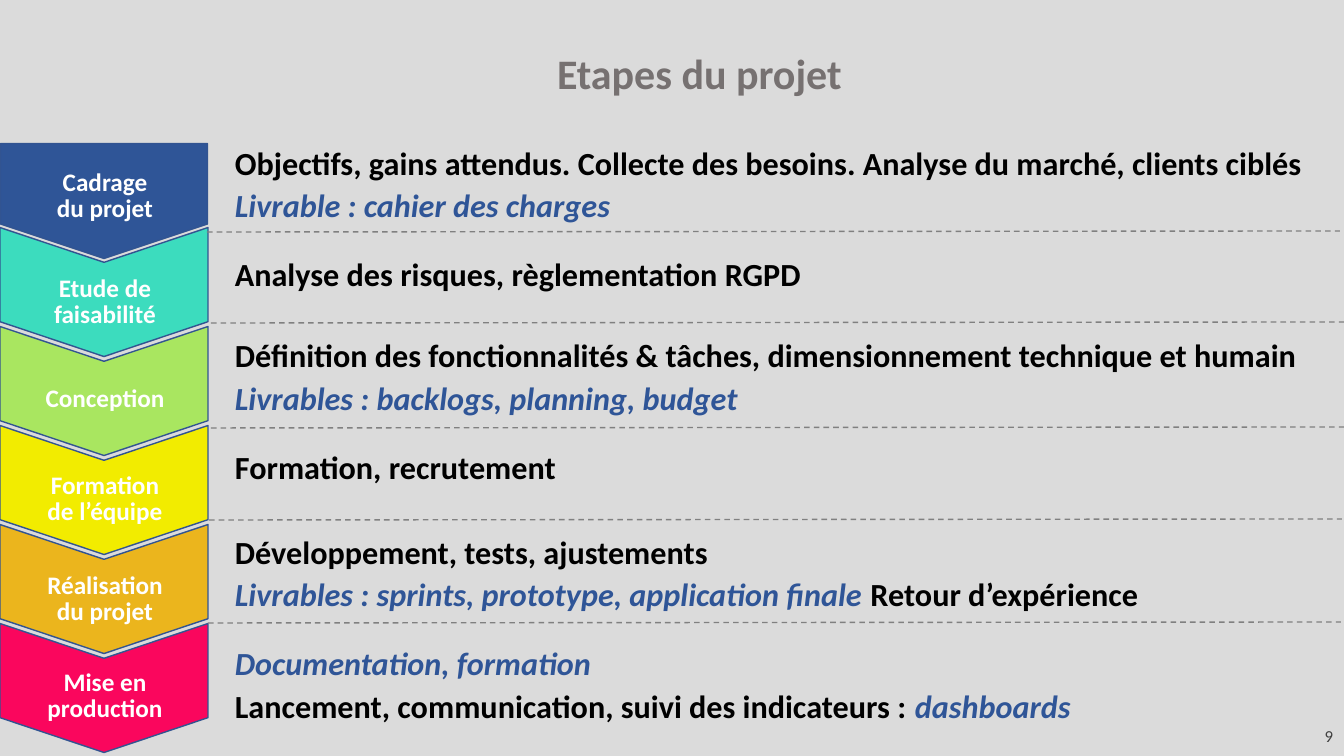
from dataclasses import dataclass
from lxml.etree import SubElement
from pptx import Presentation
from pptx.dml.color import RGBColor
from pptx.enum.dml import MSO_LINE
from pptx.enum.shapes import MSO_CONNECTOR, MSO_SHAPE
from pptx.enum.text import MSO_ANCHOR, MSO_AUTO_SIZE, PP_ALIGN
from pptx.oxml.ns import qn
from pptx.util import Pt

# Content: label, (top, width) of label, arrow colour
TITLE = "Etapes du projet"
PAGE = "9"
STEPS = [
    ("Cadrage du projet", (166, 130), "2F5597"),
    ("Etude de faisabilité", (272, 130), "3CDCBE"),
    ("Conception", (382, 148), "A9E660"),
    ("Formation de l’équipe", (469, 148), "F2EC00"),
    ("Réalisation du projet", (569, 148), "EBB51D"),
    ("Mise en production", (666, 148), "FA065D"),
]
# Top, height, paragraphs of (text, style) runs
DETAILS = [
    (134, 94, [[("Objectifs, gains attendus. Collecte des besoins. Analyse du marché, clients ciblés ", "task"),
                ("Livrable : cahier des charges", "output")]]),
    (246, 52, [[("Analyse des risques, règlementation RGPD", "task")]]),
    (327, 94, [[("Définition des fonctionnalités & tâches, dimensionnement technique et humain ", "task"),
                ("Livrables : backlogs, planning, budget", "output")]]),
    (439, 52, [[("Formation, recrutement", "task")]]),
    (523, 94, [[("Développement, tests, ajustements", "task")],
               [("Livrables : sprints, prototype, application finale ", "output"),
                ("Retour d’expérience", "task")]]),
    (635, 94, [[("Documentation, formation", "output")],
               [("Lancement, communication, suivi des indicateurs : ", "task"),
                ("dashboards", "output")]]),
]
SEPARATORS = [(207, 232), (211, 323), (211, 428), (209, 520), (208, 623)]


@dataclass(frozen=True)
class Theme:
    font: str = "Calibri"
    background: str = "DBDBDB"
    outline: str = "325491"
    separator: str = "808080"


THEME = Theme()
STYLES = {
    "title": dict(size=30, color="767171", bold=True, italic=False),
    "label": dict(size=18, color="FFFFFF", bold=True, italic=False),
    "task": dict(size=23, color="000000", bold=True, italic=False),
    "output": dict(size=23, color="2F5597", bold=True, italic=True),
    "page": dict(size=12, color="404040", bold=False, italic=False),
}

# Layout in px
PX = 914400 / 100.8
ARROW_X, ARROW_PITCH, FIRST_CHEVRON_Y = 104, 99, 292
LABEL_X = 105
DETAIL_X, DETAIL_W = 225, 1115
SEPARATOR_W = 1133


def px(*values):
    return [round(v * PX) for v in values]


def add_run(p, text, style):
    r = p.add_run()
    r.text = text
    fmt = dict(STYLES[style])
    r.font.color.rgb = RGBColor.from_string(fmt.pop("color"))
    fmt.update(name=THEME.font, size=Pt(fmt["size"]))
    for name, value in fmt.items():
        setattr(r.font, name, value)


def fill_text(sp, paragraphs, **fmt):
    tf = sp.text_frame
    frame = dict(word_wrap=True, auto_size=MSO_AUTO_SIZE.NONE, vertical_anchor=MSO_ANCHOR.TOP)
    for name in frame:
        setattr(tf, name, fmt.pop(name, frame[name]))
    for i, runs in enumerate(paragraphs):
        p = tf.add_paragraph() if i else tf.paragraphs[0]
        for name, value in fmt.items():
            setattr(p, name, value)
        for text, style in runs:
            add_run(p, text, style)


def add_text(s, box, paragraphs, **fmt):
    fill_text(s.shapes.add_textbox(*px(*box)), paragraphs, **fmt)


def add_arrow(s, kind, center_y, length, breadth, point, color):
    # Drawn pointing right, then turned to point down
    box = (ARROW_X - length / 2, center_y - breadth / 2, length, breadth)
    sp = s.shapes.add_shape(kind, *px(*box))
    sp.rotation = 90
    sp.adjustments[0] = point
    sp.shadow.inherit = False
    sp.fill.solid()
    sp.fill.fore_color.rgb = RGBColor.from_string(color)
    sp.line.color.rgb = RGBColor.from_string(THEME.outline)
    sp.line.width = Pt(1)


def add_separator(s, x, y):
    line = s.shapes.add_connector(MSO_CONNECTOR.STRAIGHT, *px(x, y, x + SEPARATOR_W, y - 1))
    line.line.color.rgb = RGBColor.from_string(THEME.separator)
    line.line.width = Pt(1)
    line.line.dash_style = MSO_LINE.DASH
    SubElement(line._element.spPr, qn("a:effectLst"))


def main():
    prs = Presentation()
    prs.slide_width, prs.slide_height = px(1344, 756)
    s = prs.slides.add_slide(prs.slide_layouts[5])
    s.background.fill.solid()
    s.background.fill.fore_color.rgb = RGBColor.from_string(THEME.background)

    # Title and page number
    title = s.shapes.title
    title.left, title.top, title.width, title.height = px(545, 42, 309, 62)
    fill_text(title, [[(TITLE, "title")]], word_wrap=False, alignment=PP_ALIGN.CENTER)
    add_text(s, (1293, 716, 50, 40), [[(PAGE, "page")]],
             vertical_anchor=MSO_ANCHOR.MIDDLE, alignment=PP_ALIGN.RIGHT)

    # Step arrows, first one with a flat top
    for i, (_, _, color) in enumerate(STEPS):
        if i == 0:
            add_arrow(s, MSO_SHAPE.PENTAGON, 201, 115, 207, 0.3, color)
        else:
            y = FIRST_CHEVRON_Y + (i - 1) * ARROW_PITCH
            add_arrow(s, MSO_SHAPE.CHEVRON, y, 129, 208, 0.27, color)

    # Step labels
    for label, (top, width), _ in STEPS:
        add_text(s, (LABEL_X - width / 2, top, width, 62), [[(label, "label")]],
                 alignment=PP_ALIGN.CENTER, line_spacing=0.85)

    # Step details and dashed separators
    for top, height, paragraphs in DETAILS:
        add_text(s, (DETAIL_X, top, DETAIL_W, height), paragraphs, line_spacing=1.1)
    for x, y in SEPARATORS:
        add_separator(s, x, y)

    prs.save("out.pptx")


if __name__ == "__main__":
    main()
